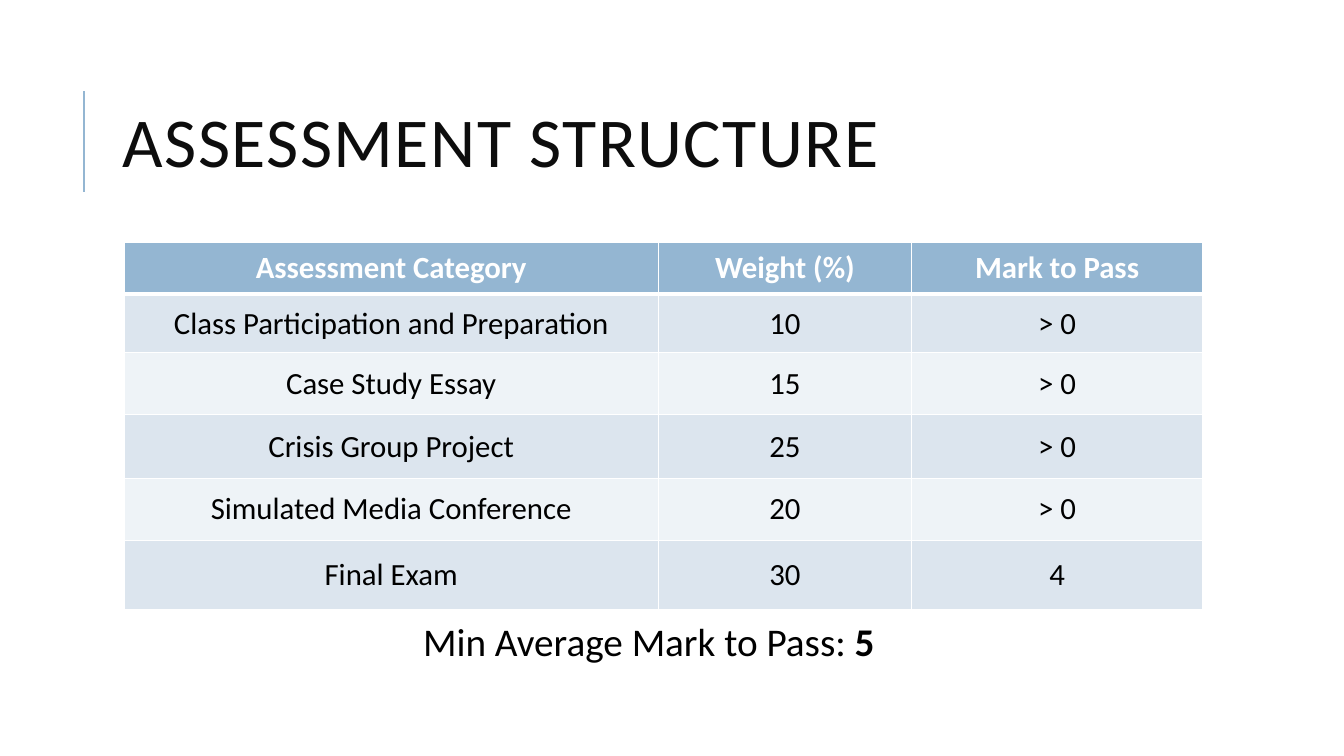
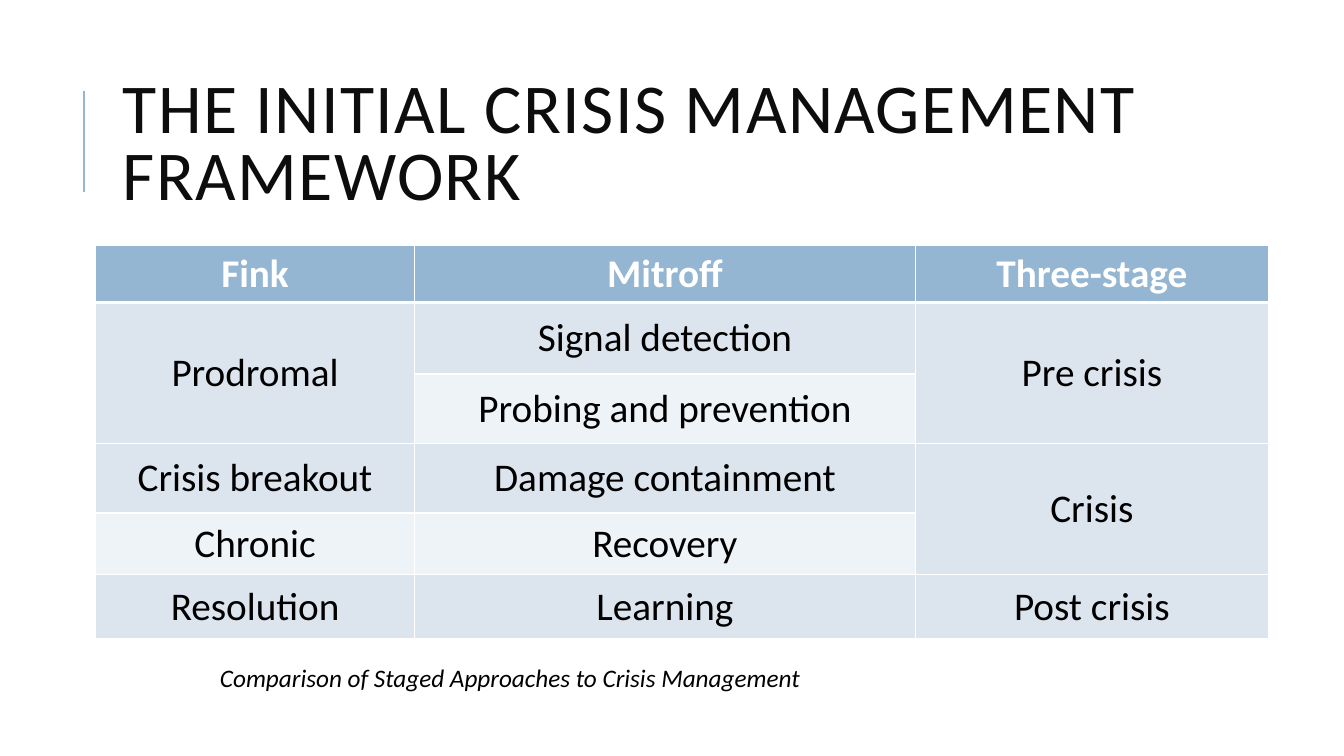
from dataclasses import dataclass

from lxml import etree
from pptx import Presentation
from pptx import util as u
from pptx.dml.color import RGBColor
from pptx.enum import shapes, text
from pptx.oxml.ns import qn


@dataclass(frozen=True)
class Theme:
    font: str = "Calibri"
    accent: RGBColor = RGBColor(0x94, 0xB6, 0xD2)
    band_dark: RGBColor = RGBColor(0xDC, 0xE5, 0xEE)
    band_light: RGBColor = RGBColor(0xEE, 0xF3, 0xF7)
    title_ink: RGBColor = RGBColor(0x0D, 0x0D, 0x0D)
    ink: RGBColor = RGBColor(0, 0, 0)
    white: RGBColor = RGBColor(0xFF, 0xFF, 0xFF)
    title_size: int = 50
    large_size: int = 28
    table_size: int = 22
    caption_size: int = 18


theme = Theme()

# A None cell belongs to the merged cell above it.
slides = [
    {
        "title": "ASSESSMENT STRUCTURE",
        "corner": (1.23, 2.4),
        "columns": [5.3, 2.51, 2.89],
        "heights": [0.52, 0.58, 0.61, 0.64, 0.61, 0.69],
        "size": theme.table_size,
        "rows": [
            ["Assessment Category", "Weight (%)", "Mark to Pass"],
            ["Class Participation and Preparation", "10", "> 0"],
            ["Case Study Essay", "15", "> 0"],
            ["Crisis Group Project", "25", "> 0"],
            ["Simulated Media Conference", "20", "> 0"],
            ["Final Exam", "30", "4"],
        ],
        "note_area": (3.37, 6.08, 6.13, 0.57),
        "note": [("Min Average Mark to Pass:", False), (" 5", True)],
        "note_size": theme.large_size,
        "note_italic": False,
    },
    {
        "title": "THE INITIAL CRISIS MANAGEMENT FRAMEWORK",
        "corner": (0.95, 2.43),
        "columns": [3.16, 4.97, 3.5],
        "heights": [0.57, 0.71, 0.69, 0.69, 0.61, 0.64],
        "size": theme.large_size,
        "rows": [
            ["Fink", "Mitroff", "Three-stage"],
            ["Prodromal", "Signal detection", "Pre crisis"],
            [None, "Probing and prevention", None],
            ["Crisis breakout", "Damage containment", "Crisis"],
            ["Chronic", "Recovery", None],
            ["Resolution", "Learning", "Post crisis"],
        ],
        "note_area": (1.93, 6.52, 6.26, 0.4),
        "note": [("Comparison of Staged Approaches to Crisis Management", False)],
        "note_size": theme.caption_size,
        "note_italic": True,
    },
]


def style(font, size, color, bold=False, italic=False):
    font.name = theme.font
    font.size = u.Pt(size)
    font.color.rgb = color
    font.bold = bold
    font.italic = italic


def add_borders(cell, top, bottom):
    """Draw white cell borders; top and bottom are widths in points."""
    properties = cell._tc.get_or_add_tcPr()
    for side, width in (("L", 1), ("R", 1), ("T", top), ("B", bottom)):
        line = etree.SubElement(properties, qn(f"a:ln{side}"), w=str(u.Pt(width)))
        fill = etree.SubElement(line, qn("a:solidFill"))
        etree.SubElement(fill, qn("a:srgbClr"), val=str(theme.white))


deck = Presentation()
deck.slide_width = u.Inches(13.33)
deck.slide_height = u.Inches(7.5)

for content in slides:
    page = deck.slides.add_slide(deck.slide_layouts[6])

    rule = page.shapes.add_connector(
        shapes.MSO_CONNECTOR.STRAIGHT,
        u.Inches(0.83), u.Inches(1.9), u.Inches(0.83), u.Inches(0.9))
    rule.line.color.rgb = theme.accent
    rule.line.width = u.Pt(1.5)
    etree.SubElement(rule._element.spPr, qn("a:effectLst"))

    title = page.shapes.add_textbox(
        u.Inches(1.12), u.Inches(0.64), u.Inches(10.63), u.Inches(1.64)).text_frame
    title.word_wrap = True
    title.vertical_anchor = text.MSO_ANCHOR.MIDDLE
    title.text = content["title"]
    title.paragraphs[0].line_spacing = 0.8
    span = title.paragraphs[0].runs[0]
    style(span.font, theme.title_size, theme.title_ink)
    span._r.get_or_add_rPr().set("spc", "100")

    rows, columns, heights = content["rows"], content["columns"], content["heights"]
    left, top = content["corner"]
    table = page.shapes.add_table(
        len(rows), len(columns), u.Inches(left), u.Inches(top),
        u.Inches(sum(columns)), u.Inches(sum(heights))).table
    for column, width in zip(table.columns, columns):
        column.width = u.Inches(width)
    for row, height in zip(table.rows, heights):
        row.height = u.Inches(height)

    for r, labels in enumerate(rows):
        header = r == 0
        band = theme.band_dark if r % 2 else theme.band_light
        for c, label in enumerate(labels):
            cell = table.cell(r, c)
            add_borders(cell, top=3 if r == 1 else 1, bottom=3 if header else 1)
            cell.fill.solid()
            cell.fill.fore_color.rgb = theme.accent if header else band
            if label is None:
                table.cell(r - 1, c).merge(cell)
                continue
            cell.vertical_anchor = text.MSO_ANCHOR.MIDDLE
            cell.text_frame.text = label
            para = cell.text_frame.paragraphs[0]
            para.alignment = text.PP_ALIGN.CENTER
            style(para.runs[0].font, content["size"],
                  theme.white if header else theme.ink, bold=header)

    note = page.shapes.add_textbox(*map(u.Inches, content["note_area"])).text_frame
    note.word_wrap = True
    note.auto_size = text.MSO_AUTO_SIZE.SHAPE_TO_FIT_TEXT
    para = note.paragraphs[0]
    para.alignment = text.PP_ALIGN.CENTER
    for words, bold in content["note"]:
        span = para.add_run()
        span.text = words
        style(span.font, content["note_size"], theme.ink, bold, content["note_italic"])

deck.save("out.pptx")
